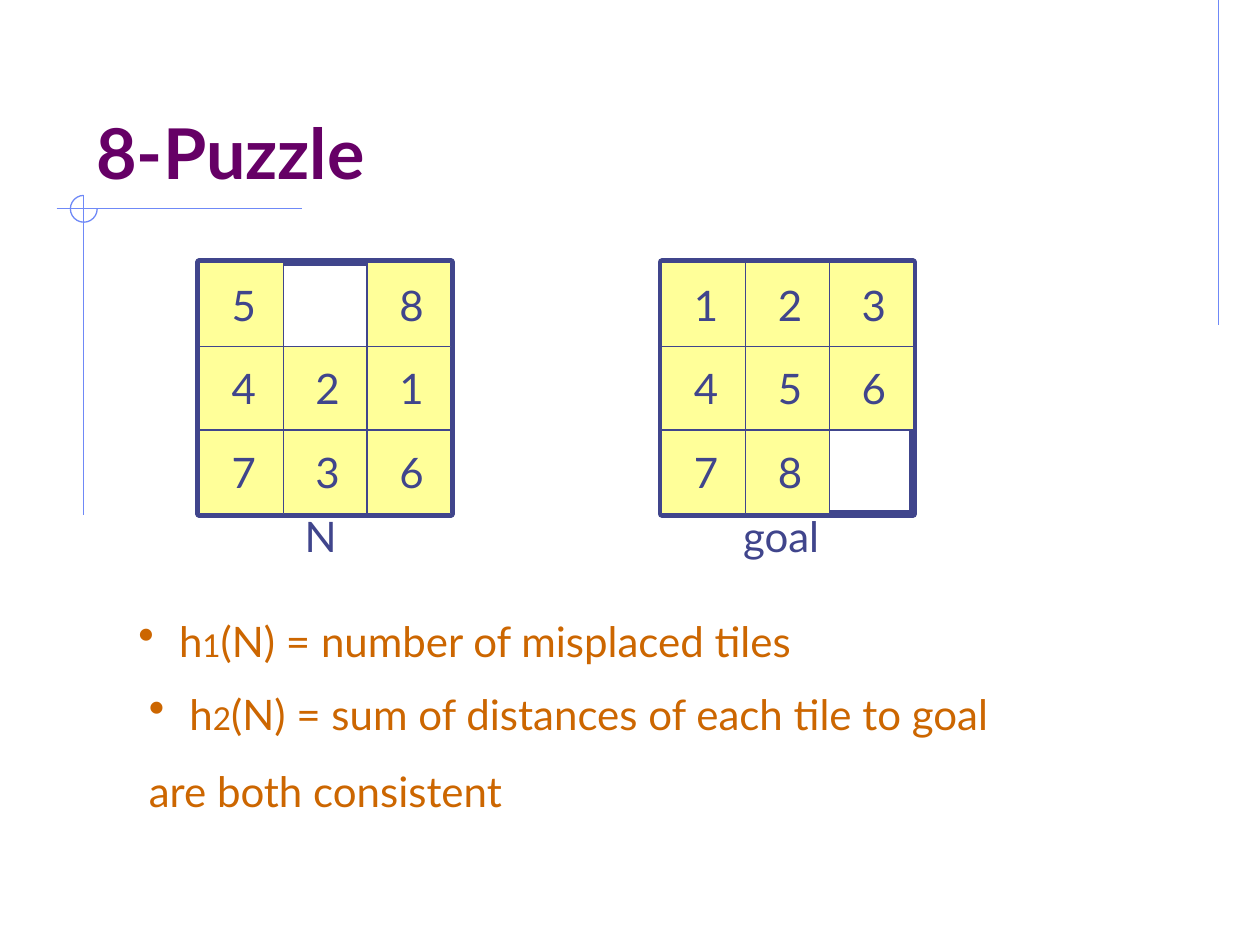
from lxml.etree import SubElement
from pptx import Presentation
from pptx.dml.color import RGBColor
from pptx.enum.shapes import MSO_CONNECTOR, MSO_SHAPE
from pptx.enum.text import MSO_ANCHOR, MSO_AUTO_SIZE, PP_ALIGN
from pptx.oxml.ns import qn
from pptx.util import Cm, Pt

PLUM = RGBColor(0x66, 0x00, 0x66)
NAVY = RGBColor(0x40, 0x45, 0x8C)
BLUE = RGBColor(0x6F, 0x89, 0xF7)
YELLOW = RGBColor(0xFF, 0xFF, 0x99)
ORANGE = RGBColor(0xCC, 0x66, 0x00)
FONT = "Lato"
TILE = 1.69


def style(para, size, color, bold=False):
    font = para.font
    font.name, font.size, font.bold = FONT, Pt(size), bold
    font.color.rgb = color


def stroke(shape, color, width):
    shape.line.color.rgb = color
    shape.line.width = Pt(width)


def add_rule(slide, x1, y1, x2, y2):
    rule = slide.shapes.add_connector(
        MSO_CONNECTOR.STRAIGHT, Cm(x1), Cm(y1), Cm(x2), Cm(y2))
    stroke(rule, BLUE, 0.75)
    SubElement(rule._element.spPr, qn("a:effectLst"))


def add_decor(slide, left, top):
    add_rule(slide, 24.56, 0, 24.56, 6.55)
    add_rule(slide, left - 0.55, top, left + 4.4, top)
    add_rule(slide, left, top - 0.27, left, top + 6.18)
    arc = slide.shapes.add_shape(
        MSO_SHAPE.ARC, Cm(left - 0.27), Cm(top - 0.27), Cm(0.54), Cm(0.54))
    arc.adjustments[0] = 0
    arc.adjustments[1] = 162
    arc.fill.background()
    stroke(arc, BLUE, 0.75)
    arc.shadow.inherit = False


def add_title(slide, left, top, width, height):
    title = slide.shapes.title
    title.left, title.top = Cm(left), Cm(top)
    title.width, title.height = Cm(width), Cm(height)
    frame = title.text_frame
    frame.text = "8-Puzzle"
    frame.auto_size = MSO_AUTO_SIZE.NONE
    frame.vertical_anchor = MSO_ANCHOR.BOTTOM
    para = frame.paragraphs[0]
    para.alignment = PP_ALIGN.LEFT
    style(para, 40, PLUM, True)


def add_square(group, left, top, side, width):
    square = group.shapes.add_shape(
        MSO_SHAPE.RECTANGLE, Cm(left), Cm(top), Cm(side), Cm(side))
    square.fill.background()
    stroke(square, NAVY, width)
    square.shadow.inherit = False
    return square


def add_board(slide, left, top, rows):
    group = slide.shapes.add_group_shape()
    add_square(group, left, top, 3 * TILE, 4.5)
    for row, digits in enumerate(rows):
        for col, digit in enumerate(digits):
            if digit == " ":
                continue
            tile = add_square(
                group, left + col * TILE, top + row * TILE, TILE, 0.75)
            tile.fill.solid()
            tile.fill.fore_color.rgb = YELLOW
            frame = tile.text_frame
            frame.margin_left = Cm(0.1)
            frame.margin_right = frame.margin_top = frame.margin_bottom = 0
            frame.vertical_anchor = MSO_ANCHOR.MIDDLE
            frame.text = digit
            para = frame.paragraphs[0]
            para.alignment = PP_ALIGN.CENTER
            style(para, 24, NAVY)


def add_box(slide, left, top, width, height):
    box = slide.shapes.add_textbox(Cm(left), Cm(top), Cm(width), Cm(height))
    box.text_frame.word_wrap = True
    return box.text_frame


def add_label(slide, left, top, width, text):
    frame = add_box(slide, left, top, width, 1.27)
    frame.word_wrap = False
    frame.text = text
    style(frame.paragraphs[0], 24, NAVY)


def add_bullet(para, index, text):
    props = para._p.get_or_add_pPr()
    props.set("marL", str(Cm(0.82)))
    props.set("indent", str(-Cm(0.82)))
    color = SubElement(props, qn("a:buClr"))
    SubElement(color, qn("a:srgbClr"), val=str(ORANGE))
    SubElement(props, qn("a:buSzPct"), val="110000")
    SubElement(props, qn("a:buChar"), char="•")
    style(para, 24, ORANGE)
    for part in ("h", index, text):
        para.add_run().text = part
    para.runs[1].font.size = Pt(18)


def add_notes(slide, left, top):
    first = add_box(slide, left, top, 14.35, 1.27)
    add_bullet(first.paragraphs[0], "1", "(N) = number of misplaced tiles")
    second = add_box(slide, left + 0.21, top + 1.48, 18.21, 3.84)
    add_bullet(second.paragraphs[0], "2",
               "(N) = sum of distances of each tile to goal")
    last = second.add_paragraph()
    last.text = "are both consistent"
    last.space_before = Pt(15)
    style(last, 24, ORANGE)


def main():
    deck = Presentation()
    deck.slide_width, deck.slide_height = Cm(25.4), Cm(19.05)
    slide = deck.slides.add_slide(deck.slide_layouts[5])
    add_decor(slide, 1.69, 4.21)
    add_title(slide, 1.69, 0.85, 21.59, 3.17)
    add_board(slide, 13.34, 5.29, ("123", "456", "78 "))
    add_board(slide, 4.02, 5.29, ("5 8", "421", "736"))
    add_label(slide, 5.89, 10.16, 1.14, "N")
    add_label(slide, 14.73, 10.16, 2.24, "goal")
    add_notes(slide, 2.54, 12.28)
    deck.save("out.pptx")


if __name__ == "__main__":
    main()
